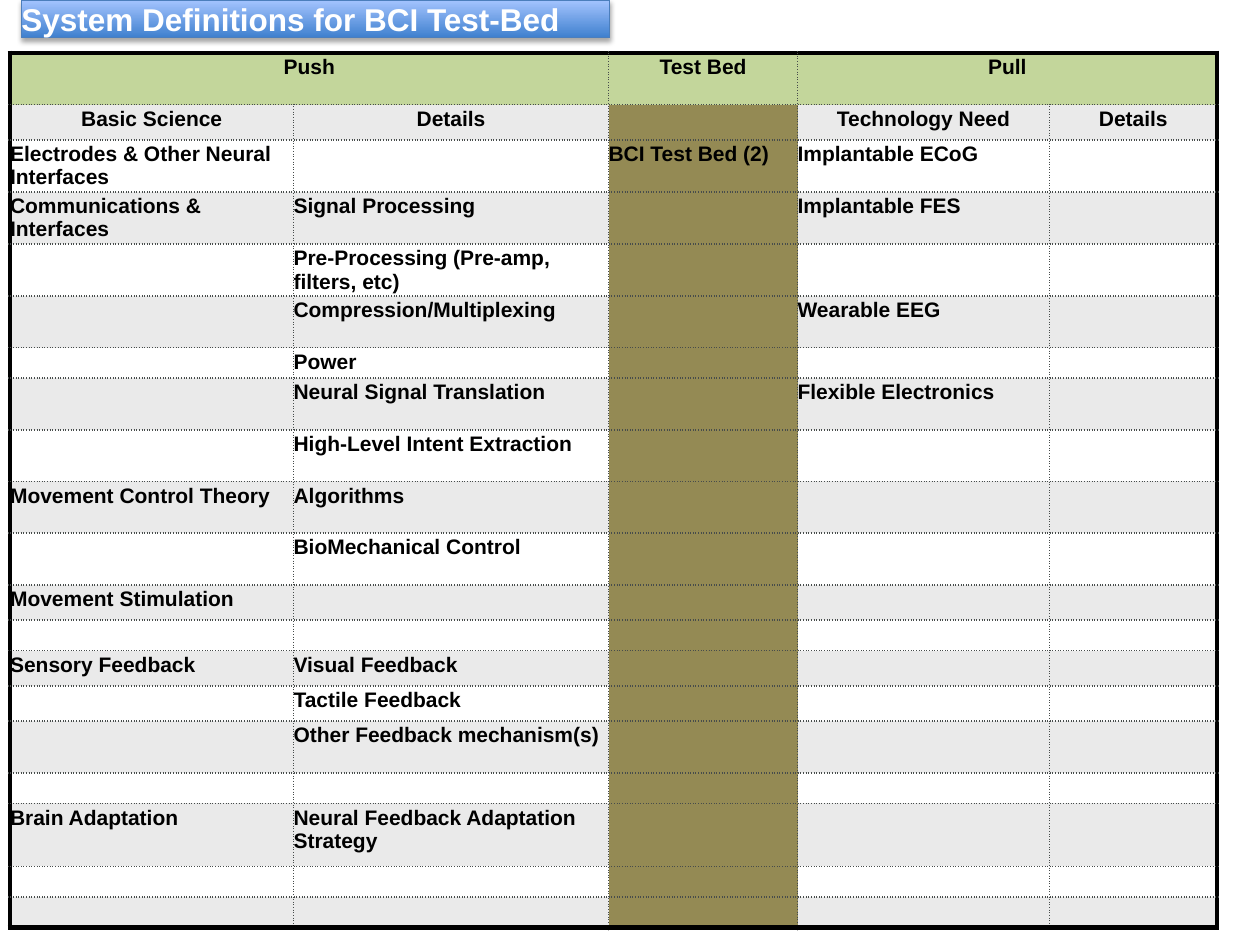
"""Build the system definitions slide for the BCI test bed."""
from dataclasses import dataclass

from lxml import etree
from pptx import Presentation
from pptx import util as u
from pptx.dml.color import RGBColor
from pptx.enum import shapes, text
from pptx.oxml import ns


@dataclass(frozen=True)
class Theme:
    font: str = "Arial"
    title_size: int = 18
    table_size: int = 12
    white: str = "FFFFFF"
    black: str = "000000"
    band: str = "EAEAEA"
    header: str = "C3D69B"
    test_bed: str = "948A54"
    rule: str = "474C4B"
    title_dark: str = "3F80CE"
    title_light: str = "A4C4FF"
    title_line: str = "4B7EBC"


TITLE = "System Definitions for BCI Test-Bed"
COLUMNS = (2.25, 2.5, 1.5, 2, 1.33)
TEST_BED_COLUMN = 2
MERGES = ((0, 1), (3, 4))
ROWS = (
    (0.41, "Push", "", "Test Bed", "Pull"),
    (0.28, "Basic Science", "Details", "", "Technology Need", "Details"),
    (0.41, "Electrodes & Other Neural Interfaces", "", "BCI Test Bed (2)", "Implantable ECoG"),
    (0.41, "Communications & Interfaces", "Signal Processing", "", "Implantable FES"),
    (0.41, "", "Pre-Processing (Pre-amp, filters, etc)"),
    (0.41, "", "Compression/Multiplexing", "", "Wearable EEG"),
    (0.22, "", "Power"),
    (0.41, "", "Neural Signal Translation", "", "Flexible Electronics"),
    (0.41, "", "High-Level Intent Extraction"),
    (0.41, "Movement Control Theory", "Algorithms"),
    (0.41, "", "BioMechanical Control"),
    (0.28, "Movement Stimulation"),
    (0.22,),
    (0.28, "Sensory Feedback", "Visual Feedback"),
    (0.28, "", "Tactile Feedback"),
    (0.41, "", "Other Feedback mechanism(s)"),
    (0.22,),
    (0.5, "Brain Adaptation", "Neural Feedback Adaptation Strategy"),
    (0.22,),
    (0.22,),
)


def apply(target, **values):
    for name, value in values.items():
        setattr(target, name, value)


def add_xml(parent, tag, **attributes):
    return etree.SubElement(parent, ns.qn(tag), attributes)


class SlideBuilder:
    def __init__(self, page, theme):
        self.page = page
        self.theme = theme

    def span(self, para, wording, size, color):
        span = para.add_run()
        span.text = wording
        apply(span.font, name=self.theme.font, size=u.Pt(size), bold=True)
        span.font.color.rgb = RGBColor.from_string(color)

    def border(self, cell, side, outer):
        color, width = (self.theme.black, 3) if outer else (self.theme.rule, 1)
        line = add_xml(cell._tc.get_or_add_tcPr(), f"a:ln{side}", w=str(u.Pt(width)))
        add_xml(add_xml(line, "a:solidFill"), "a:srgbClr", val=color)
        add_xml(line, "a:prstDash", val="solid" if outer else "dot")

    def cell_color(self, row, column):
        if row == 0:
            return self.theme.header
        if column == TEST_BED_COLUMN:
            return self.theme.test_bed
        return self.theme.band if row % 2 else self.theme.white

    def cell(self, cell, row, column, wording):
        edges = {
            "L": column == 0,
            "R": column + cell.span_width == len(COLUMNS),
            "T": row == 0,
            "B": row == len(ROWS) - 1,
        }
        for side, outer in edges.items():
            self.border(cell, side, outer)
        cell.fill.solid()
        cell.fill.fore_color.rgb = RGBColor.from_string(self.cell_color(row, column))
        apply(cell, margin_left=0, margin_right=0,
              margin_top=u.Inches(0.02), margin_bottom=u.Inches(0.02))
        para = cell.text_frame.paragraphs[0]
        if row < 2:
            para.alignment = text.PP_ALIGN.CENTER
        if wording:
            self.span(para, wording, self.theme.table_size, self.theme.black)
        else:
            add_xml(para._p, "a:endParaRPr", sz=str(self.theme.table_size * 100), b="1")

    def table(self, left, top):
        width = sum(COLUMNS)
        height = sum(row[0] for row in ROWS)
        frame = self.page.shapes.add_table(
            len(ROWS), len(COLUMNS), *map(u.Inches, (left, top, width, height)))
        table = frame.table
        apply(table, first_row=False, horz_banding=False)
        for column, size in zip(table.columns, COLUMNS):
            column.width = u.Inches(size)
        for first, last in MERGES:
            table.cell(0, first).merge(table.cell(0, last))
        for row, (size, *wordings) in enumerate(ROWS):
            table.rows[row].height = u.Inches(size)
            wordings += [""] * (len(COLUMNS) - len(wordings))
            for column, wording in enumerate(wordings):
                cell = table.cell(row, column)
                if not cell.is_spanned:
                    self.cell(cell, row, column, wording)

    def title(self, left, top, width, height):
        box = self.page.shapes.add_shape(
            shapes.MSO_SHAPE.RECTANGLE, *map(u.Inches, (left, top, width, height)))
        box.fill.gradient()
        box.fill.gradient_angle = 90
        colors = (self.theme.title_dark, self.theme.title_light)
        for stop, position, color in zip(box.fill.gradient_stops, (0, 1), colors):
            stop.position = position
            stop.color.rgb = RGBColor.from_string(color)
        box.line.color.rgb = RGBColor.from_string(self.theme.title_line)
        box.line.width = u.Pt(0.75)
        self.shadow(box)
        apply(box.text_frame, margin_left=0, margin_right=0, margin_top=0, margin_bottom=0,
              word_wrap=True, auto_size=text.MSO_AUTO_SIZE.SHAPE_TO_FIT_TEXT,
              vertical_anchor=text.MSO_ANCHOR.TOP)
        para = box.text_frame.paragraphs[0]
        para.alignment = text.PP_ALIGN.LEFT
        self.span(para, TITLE, self.theme.title_size, self.theme.white)

    def shadow(self, box):
        box.shadow.inherit = False
        effects = box._element.spPr.find(ns.qn("a:effectLst"))
        shadow = add_xml(effects, "a:outerShdw", blurRad=str(u.Pt(3.1)),
                         dist=str(u.Pt(1.8)), dir="5400000", rotWithShape="0")
        color = add_xml(shadow, "a:srgbClr", val=self.theme.black)
        add_xml(color, "a:alpha", val="35000")


def main():
    deck = Presentation()
    apply(deck, slide_width=u.Inches(10), slide_height=u.Inches(7.5))
    builder = SlideBuilder(deck.slides.add_slide(deck.slide_layouts[6]), Theme())
    builder.table(0.08, 0.42)
    builder.title(0.17, 0, 4.67, 0.3)
    deck.save("out.pptx")


if __name__ == "__main__":
    main()
